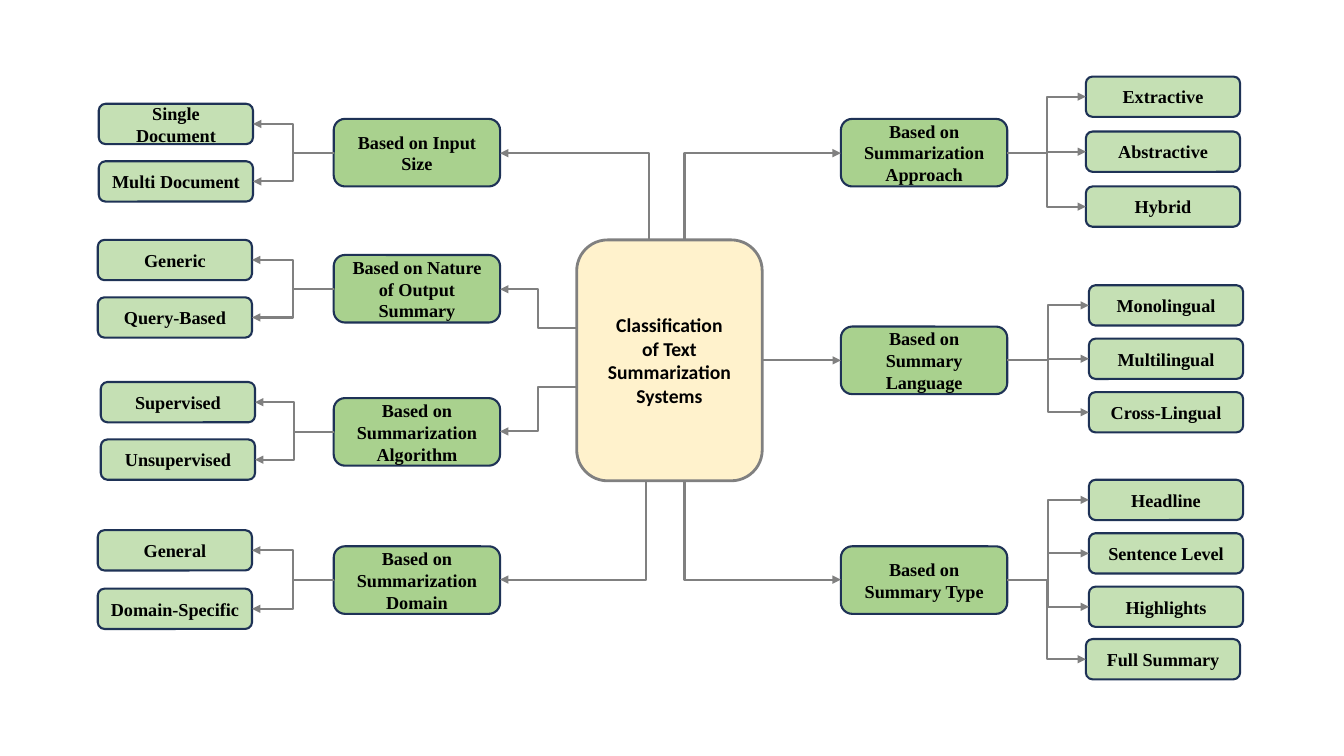
from dataclasses import dataclass

from lxml import etree
from pptx import Presentation
from pptx.dml.color import RGBColor
from pptx.enum.shapes import MSO_CONNECTOR, MSO_SHAPE
from pptx.enum.text import MSO_ANCHOR, PP_ALIGN
from pptx.oxml.ns import qn
from pptx.util import Inches, Pt

ROUNDED = MSO_SHAPE.ROUNDED_RECTANGLE
ELBOW, STRAIGHT = MSO_CONNECTOR.ELBOW, MSO_CONNECTOR.STRAIGHT
MIDDLE, CENTER = MSO_ANCHOR.MIDDLE, PP_ALIGN.CENTER
LEFT, RIGHT = 1, 3


@dataclass(frozen=True)
class Theme:
    hub_fill: str = "FFF2CC"
    topic_fill: str = "A9D18E"
    leaf_fill: str = "C5E0B4"
    outline: str = "1E3256"
    grey: str = "808080"
    text: str = "000000"
    hub_font: str = "Calibri"
    box_font: str = "Times New Roman"
    hub_size: float = 14
    box_size: float = 13
    hub_line: float = 2
    line: float = 1.5


class Diagram:
    topic_w, topic_h = 1.65, 0.67
    leaf_w, leaf_h = 1.53, 0.4

    def __init__(self, slide, theme):
        self.s = slide
        self.theme = theme

    def box(self, text, x, y, w, h, fill, outline, weight, font, size):
        sp = self.s.shapes.add_shape(ROUNDED, Inches(x), Inches(y), Inches(w), Inches(h))
        sp.shadow.inherit = False
        sp.fill.solid()
        sp.fill.fore_color.rgb = RGBColor.from_string(fill)
        sp.line.color.rgb = RGBColor.from_string(outline)
        sp.line.width = Pt(weight)
        tf = sp.text_frame
        tf.text = text
        tf.word_wrap = True
        tf.vertical_anchor = MIDDLE
        for p in tf.paragraphs:
            p.alignment = CENTER
            for r in p.runs:
                r.font.name = font
                r.font.size = Pt(size)
                r.font.bold = True
                r.font.color.rgb = RGBColor.from_string(self.theme.text)
        return sp

    def hub(self, text, x, y, w, h):
        t = self.theme
        return self.box(text, x, y, w, h, t.hub_fill, t.grey, t.hub_line,
                        t.hub_font, t.hub_size)

    def topic(self, text, x, y):
        t = self.theme
        return self.box(text, x, y, self.topic_w, self.topic_h, t.topic_fill,
                        t.outline, t.line, t.box_font, t.box_size)

    def leaf(self, text, x, y):
        t = self.theme
        return self.box(text, x, y, self.leaf_w, self.leaf_h, t.leaf_fill,
                        t.outline, t.line, t.box_font, t.box_size)

    def arrow(self, kind, x1=0, y1=0, x2=0, y2=0):
        c = self.s.shapes.add_connector(kind, Inches(x1), Inches(y1), Inches(x2), Inches(y2))
        c.line.color.rgb = RGBColor.from_string(self.theme.grey)
        c.line.width = Pt(self.theme.line)
        etree.SubElement(c.line._get_or_add_ln(), qn("a:tailEnd"), type="triangle")
        etree.SubElement(c._element.spPr, qn("a:effectLst"))
        return c

    def join(self, kind, start, start_side, end, end_side):
        c = self.arrow(kind)
        c.begin_connect(start, start_side)
        c.end_connect(end, end_side)

    def trunk(self, x1, y1, bend_x, x2, y2):
        c = self.arrow(ELBOW, x1, y1, x2, y2)
        guides = c._element.spPr.find(qn("a:prstGeom")).find(qn("a:avLst"))
        bend = round((bend_x - x1) / (x2 - x1) * 100000)
        etree.SubElement(guides, qn("a:gd"), name="adj1", fmla=f"val {bend}")

    def branch(self, text, x, y, near, far, stacks):
        topic = self.topic(text, x, y)
        for leaf_x, top, pitch, names in stacks:
            for i, name in enumerate(names):
                leaf = self.leaf(name, leaf_x, top + i * pitch)
                self.join(ELBOW, topic, far, leaf, near)
        return topic


LEFT_X, RIGHT_X = 3.31, 8.34
LEFT_BRANCHES = [
    ("Based on Input Size", 1.18, [(0.98, 1.03, 0.57, ["Single Document", "Multi Document"])]),
    ("Based on Nature of Output Summary", 2.53, [(0.97, 2.38, 0.57, ["Generic", "Query-Based"])]),
    ("Based on Summarization Algorithm", 3.95, [(1, 3.79, 0.57, ["Supervised", "Unsupervised"])]),
    ("Based on Summarization Domain", 5.42, [(0.97, 5.26, 0.58, ["General", "Domain-Specific"])]),
]
RIGHT_BRANCHES = [
    ("Based on Summarization Approach", 1.18,
     [(10.77, 0.76, 0.545, ["Extractive", "Abstractive", "Hybrid"])]),
    ("Based on Summary Language", 3.24,
     [(10.8, 2.83, 0.53, ["Monolingual", "Multilingual", "Cross-Lingual"])]),
    ("Based on Summary Type", 5.42,
     [(10.8, 4.76, 0.53, ["Headline", "Sentence Level", "Highlights"]),
      (10.77, 6.34, 0, ["Full Summary"])]),
]
LEFT_END = LEFT_X + Diagram.topic_w
TRUNKS = [
    (6.5, 2.42, 6.44, LEFT_END, 1.52),
    (5.74, 3.25, 5.34, LEFT_END, 2.87),
    (5.74, 3.84, 5.34, LEFT_END, 4.28),
    (6.47, 4.73, 6.41, LEFT_END, 5.75),
    (6.73, 2.42, 6.79, RIGHT_X, 1.52),
    (6.73, 4.73, 6.79, RIGHT_X, 5.75),
]


def main():
    prs = Presentation()
    prs.slide_width, prs.slide_height = Inches(13.33), Inches(7.5)
    d = Diagram(prs.slides.add_slide(prs.slide_layouts[6]), Theme())
    for text, y, stacks in LEFT_BRANCHES:
        d.branch(text, LEFT_X, y, RIGHT, LEFT, stacks)
    topics = [d.branch(text, RIGHT_X, y, LEFT, RIGHT, stacks)
              for text, y, stacks in RIGHT_BRANCHES]
    for trunk in TRUNKS:
        d.trunk(*trunk)
    hub = d.hub("Classification\nof Text Summarization\nSystems", 5.72, 2.38, 1.84, 2.39)
    d.join(STRAIGHT, hub, RIGHT, topics[1], LEFT)
    prs.save("out.pptx")


if __name__ == "__main__":
    main()
